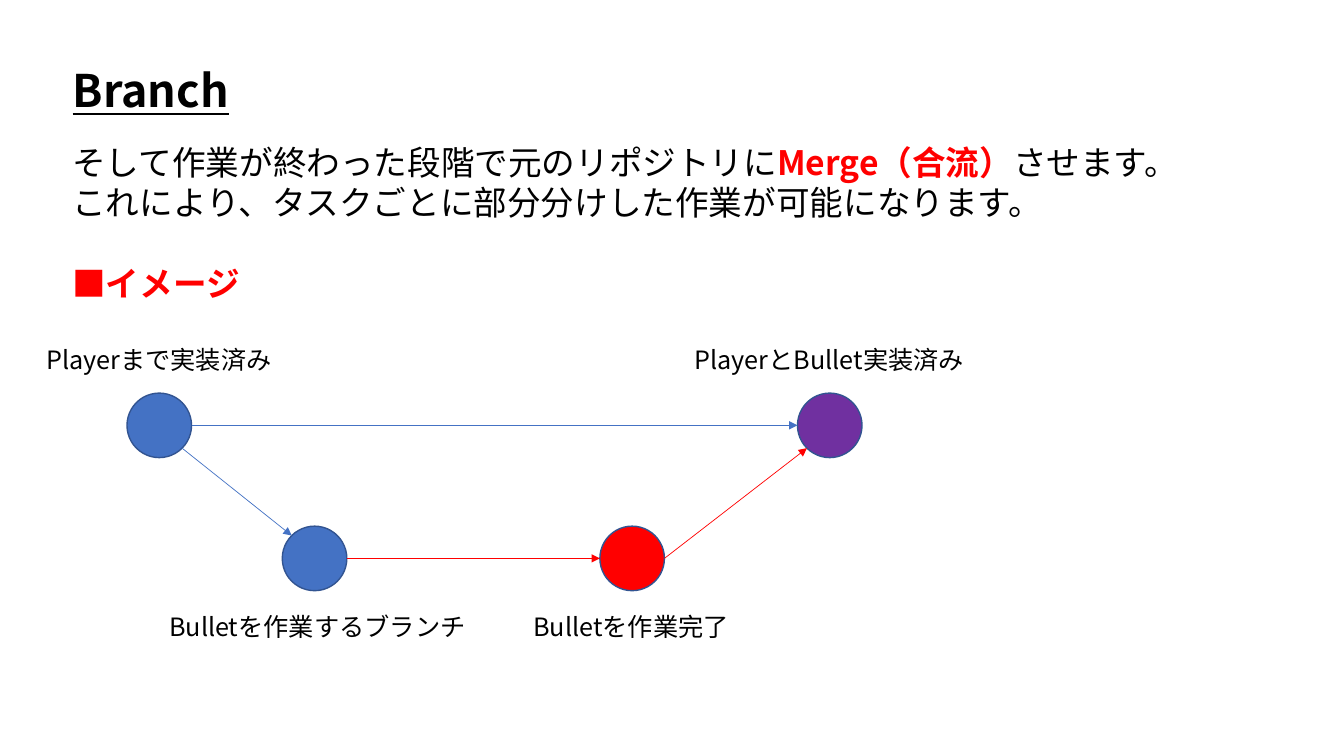
from dataclasses import dataclass
from math import cos, radians, sin

from lxml import etree
from pptx import Presentation
from pptx.dml.color import RGBColor
from pptx.enum.shapes import MSO_CONNECTOR, MSO_SHAPE
from pptx.enum.text import MSO_ANCHOR, MSO_AUTO_SIZE, PP_ALIGN
from pptx.oxml.ns import qn
from pptx.util import Inches, Pt

OVAL = MSO_SHAPE.OVAL
STRAIGHT = MSO_CONNECTOR.STRAIGHT
TOP = MSO_ANCHOR.TOP
NO_AUTOFIT = MSO_AUTO_SIZE.NONE
LEFT = PP_ALIGN.LEFT

FONT = "Noto Sans CJK JP"
COLORS = {
    "black": "000000",
    "blue": "4472C4",
    "outline": "325491",
    "red": "FF0000",
    "purple": "7030A0",
}
RADIUS = 0.32
MAIN_Y, BRANCH_Y = 4.22, 5.54
MAIN_LABEL_TOP, BRANCH_LABEL_TOP = 3.35, 6.0
LINE_HEIGHT = 1.2


@dataclass
class Span:
    text: str
    color: str = "black"
    bold: bool = False
    underline: bool = False


@dataclass
class Commit:
    x: float
    y: float
    color: str
    label: str
    label_left: float
    label_top: float
    label_width: float

    def edge(self, angle: float) -> tuple[float, float]:
        """Point on the circle, in degrees clockwise from the right."""
        turn = radians(angle)
        return self.x + RADIUS * cos(turn), self.y + RADIUS * sin(turn)


@dataclass
class Arrow:
    start: tuple[float, float]
    end: tuple[float, float]
    color: str


PLAYER = Commit(1.58, MAIN_Y, "blue", "Playerまで実装済み", 0.36, MAIN_LABEL_TOP, 2.45)
BRANCH = Commit(3.12, BRANCH_Y, "blue", "Bulletを作業するブランチ", 1.58, BRANCH_LABEL_TOP, 3.16)
DONE = Commit(6.27, BRANCH_Y, "red", "Bulletを作業完了", 5.19, BRANCH_LABEL_TOP, 2.15)
MERGED = Commit(8.23, MAIN_Y, "purple", "PlayerとBullet実装済み", 6.79, MAIN_LABEL_TOP, 2.88)
COMMITS = [PLAYER, BRANCH, DONE, MERGED]

ARROWS = [
    Arrow(PLAYER.edge(0), MERGED.edge(180), "blue"),
    Arrow(PLAYER.edge(45), BRANCH.edge(225), "blue"),
    Arrow(BRANCH.edge(0), DONE.edge(180), "red"),
    Arrow(DONE.edge(0), MERGED.edge(135), "red"),
]

EXPLANATION = [
    [
        Span("そして作業が終わった段階で元のリポジトリに"),
        Span("Merge（合流）", color="red", bold=True),
        Span("させます。"),
    ],
    [Span("これにより、タスクごとに部分分けした作業が可能になります。")],
    [Span("■イメージ", color="red", bold=True)],
]


def rgb(name: str) -> RGBColor:
    return RGBColor.from_string(COLORS[name])


def write_text(box, paragraphs: list[list[Span]], *, size: float, last_gap: float = 0) -> None:
    """Fill a box; last_gap is the space in points before its last paragraph."""
    frame = box.text_frame
    frame.word_wrap = True
    frame.auto_size = NO_AUTOFIT
    frame.vertical_anchor = TOP
    frame.margin_left = frame.margin_right = Inches(0.1)
    frame.margin_top = Inches(0.05) + Pt(size * 0.07)
    frame.margin_bottom = Inches(0.05)
    for index, spans in enumerate(paragraphs):
        para = frame.add_paragraph() if index else frame.paragraphs[0]
        para.alignment = LEFT
        para.line_spacing = Pt(size * LINE_HEIGHT)
        para.space_before = Pt(last_gap if index and index == len(paragraphs) - 1 else 0)
        for span in spans:
            run = para.add_run()
            run.text = span.text
            run.font.name = FONT
            run.font.size = Pt(size)
            run.font.bold = span.bold
            run.font.underline = span.underline
            run.font.color.rgb = rgb(span.color)
            latin = run.font._element.find(qn("a:latin"))
            east_asian = etree.Element(qn("a:ea"), typeface=FONT)
            latin.addnext(east_asian)


def add_text(page, left: float, top: float, width: float, height: float,
             paragraphs: list[list[Span]], *, size: float, last_gap: float = 0) -> None:
    box = page.shapes.add_textbox(Inches(left), Inches(top), Inches(width), Inches(height))
    write_text(box, paragraphs, size=size, last_gap=last_gap)


def add_title(page) -> None:
    title = page.shapes.title
    title.left, title.top = Inches(0.62), Inches(0.54)
    title.width, title.height = Inches(1.76), Inches(0.64)
    write_text(title, [[Span("Branch", bold=True, underline=True)]], size=32)


def add_commit(page, commit: Commit) -> None:
    circle = page.shapes.add_shape(
        OVAL, Inches(commit.x - RADIUS), Inches(commit.y - RADIUS),
        Inches(2 * RADIUS), Inches(2 * RADIUS))
    circle.shadow.inherit = False
    circle.fill.solid()
    circle.fill.fore_color.rgb = rgb(commit.color)
    circle.line.color.rgb = rgb("outline")
    circle.line.width = Pt(1)
    add_text(page, commit.label_left, commit.label_top, commit.label_width, 0.4,
             [[Span(commit.label)]], size=18)


def add_arrow(page, arrow: Arrow) -> None:
    points = [Inches(value) for value in (*arrow.start, *arrow.end)]
    connector = page.shapes.add_connector(STRAIGHT, *points)
    connector.line.color.rgb = rgb(arrow.color)
    connector.line.width = Pt(0.5)
    properties = connector._element.spPr
    outline = properties.find(qn("a:ln"))
    etree.SubElement(outline, qn("a:tailEnd"), type="triangle")
    etree.SubElement(properties, qn("a:effectLst"))


def main() -> None:
    deck = Presentation()
    deck.slide_width, deck.slide_height = Inches(13.33), Inches(7.5)
    page = deck.slides.add_slide(deck.slide_layouts.get_by_name("Title Only"))
    add_title(page)
    add_text(page, 0.62, 1.33, 11.34, 1.72, EXPLANATION, size=24, last_gap=24 * LINE_HEIGHT)
    for commit in COMMITS:
        add_commit(page, commit)
    for arrow in ARROWS:
        add_arrow(page, arrow)
    deck.save("out.pptx")


if __name__ == "__main__":
    main()
